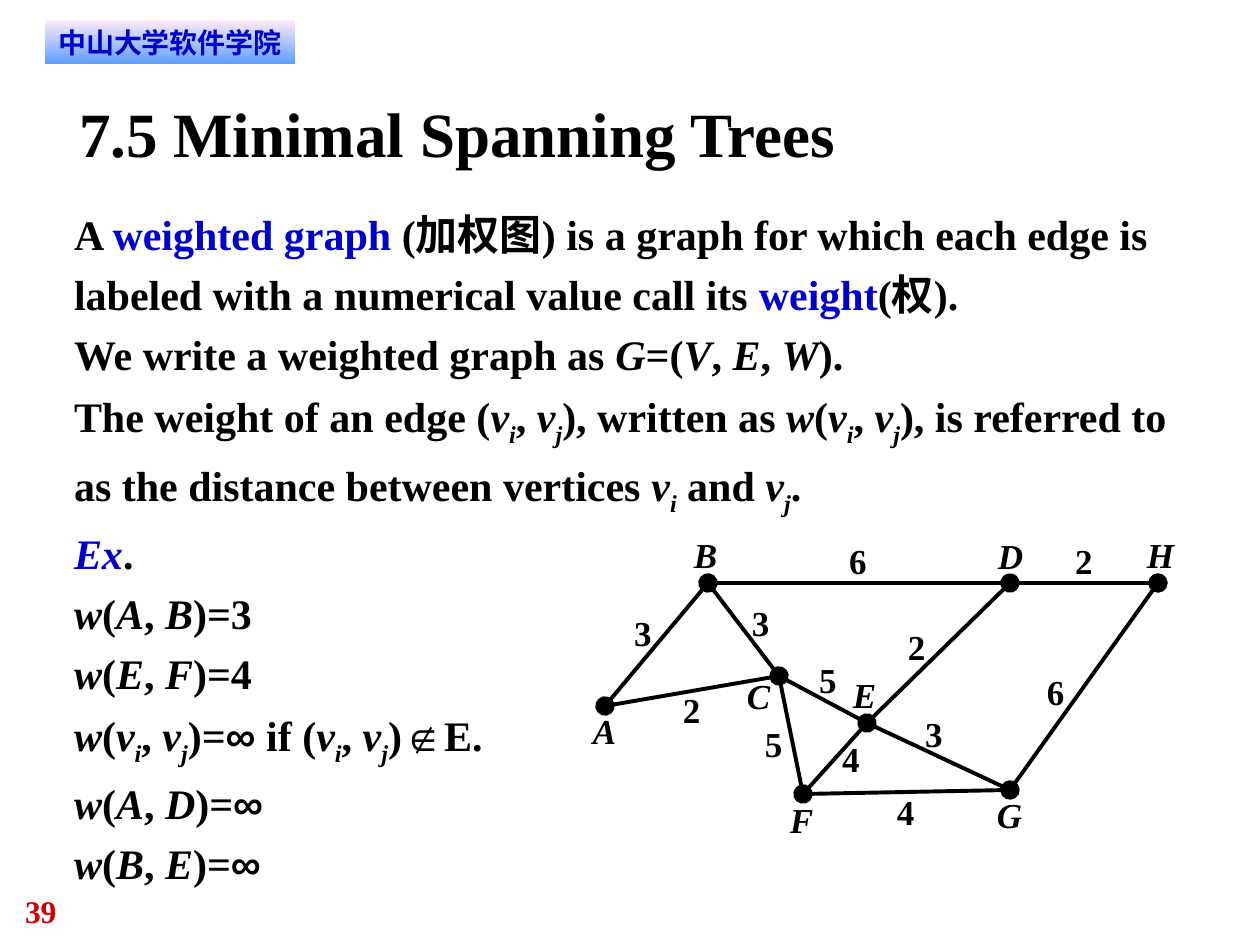
from lxml.etree import SubElement
from pptx import Presentation
from pptx.dml.color import RGBColor
from pptx.enum.shapes import MSO_CONNECTOR as Connector, MSO_SHAPE as Shape
from pptx.enum.text import PP_ALIGN as Align
from pptx.oxml.ns import qn
from pptx.util import Emu, Pt

PX = 914400 / 126
SERIF, SANS, SYMBOL = "Times New Roman", "DejaVu Sans", "Arial"
BLACK, BLUE, RED = "000000", "0000CC", "CC0000"

# Markup: * italic, _ subscript, ^ blue, ~ symbol font
BODY = [
    "A ^weighted graph^ (加权图) is a graph for which each edge is labeled "
    "with a numerical value call its ^weight^(权).",
    "We write a weighted graph as *G*=(*V*, *E*, *W*).",
    "The weight of an edge (*v_i_*, *v_j_*), written as *w*(*v_i_*, *v_j_*), "
    "is referred to as the distance between vertices *v_i_* and *v_j_*.",
    "^*Ex*^.",
    "*w*(*A*, *B*)=3",
    "*w*(*E*, *F*)=4",
    "*w*(*v_i_*, *v_j_*)=~∞~ if (*v_i_*, *v_j_*)~∉~E.",
    "*w*(*A*, *D*)=~∞~",
    "*w*(*B*, *E*)=~∞~",
]

# Vertex: point, label corner
VERTICES = {
    "A": ((15, 176), (3, 179)),
    "B": ((118, 53), (104, 3)),
    "C": ((189, 146), (157, 144)),
    "D": ((420, 53), (408, 4)),
    "E": ((277, 193), (263, 143)),
    "F": ((213, 264), (200, 268)),
    "G": ((420, 260), (407, 263)),
    "H": ((568, 53), (557, 3)),
}
# Edge: ends, weight, weight corner, ends that carry the vertex dot
EDGES = [
    ("HG", "6", (457, 140), ""),
    ("DE", "2", (318, 95), "DE"),
    ("BA", "3", (44, 81), "B"),
    ("AC", "2", (93, 158), "AC"),
    ("CE", "5", (229, 128), ""),
    ("CF", "5", (175, 192), ""),
    ("BC", "3", (162, 71), ""),
    ("FG", "4", (307, 260), ""),
    ("EF", "4", (252, 207), "F"),
    ("EG", "3", (335, 182), "G"),
    ("BD", "6", (259, 9), ""),
    ("DH", "2", (485, 9), "H"),
]


def px(*lengths):
    return [Emu(round(length * PX)) for length in lengths]


def color(hex_text):
    return RGBColor.from_string(hex_text)


def set_all(target, values):
    for name, value in values.items():
        setattr(target, name, value)


def add_span(para, text, size, fill=BLACK, name=SERIF, italic=False):
    span = para.add_run()
    span.text = text
    set_all(span.font, {"size": Pt(size), "name": name, "bold": True, "italic": italic})
    span.font.color.rgb = color(fill)
    return span


def add_box(shapes, box, wrap=True):
    frame = shapes.add_textbox(*px(*box)).text_frame
    set_all(frame, {"margin_left": 0, "margin_top": 0, "margin_right": 0,
                    "margin_bottom": 0, "word_wrap": wrap})
    return frame


def add_line_of_text(shapes, box, text, size, wrap=True, **style):
    para = add_box(shapes, box, wrap).paragraphs[0]
    add_span(para, text, size, **style)


def add_banner(page, box):
    banner = page.shapes.add_shape(Shape.RECTANGLE, *px(*box))
    banner.shadow.inherit = False
    banner.line.fill.background()
    banner.fill.gradient()
    banner.fill.gradient_angle = 270
    for stop, (place, tint) in zip(banner.fill.gradient_stops, [(0, "FFEBFA"), (1, "5E9EFF")]):
        stop.position = place
        stop.color.rgb = color(tint)
    side, edge = px(10, 5)
    set_all(banner.text_frame, {"margin_left": side, "margin_right": side,
                                "margin_top": edge, "margin_bottom": edge})
    para = banner.text_frame.paragraphs[0]
    para.alignment = Align.CENTER
    add_span(para, "中山大学软件学院", 16, BLUE, SANS)


def add_marked_text(para, text, size):
    """Split the text at its marks; each mark switches one style on or off."""
    active, piece = set(), ""
    for letter in text + "*":
        if letter not in "*_^~":
            piece += letter
            continue
        if piece:
            span = add_span(para, piece, size, BLUE if "^" in active else BLACK,
                            SYMBOL if "~" in active else SERIF, "*" in active)
            if "_" in active:
                span.font._element.set("baseline", "-25000")
        active ^= {letter}
        piece = ""


def add_body(page, box):
    frame = add_box(page.shapes, box)
    for index, text in enumerate(BODY):
        para = frame.add_paragraph() if index else frame.paragraphs[0]
        para.line_spacing = 1.2
        add_marked_text(para, text, 24)


def add_edge(shapes, start, end, dots):
    edge = shapes.add_connector(Connector.STRAIGHT, *px(*start, *end))
    edge.line.width = Pt(2.25)
    edge.line.color.rgb = color(BLACK)
    line = edge.line._get_or_add_ln()
    for tag, dotted in zip(("a:headEnd", "a:tailEnd"), dots):
        if dotted:
            SubElement(line, qn(tag), type="oval", w="lg", len="lg")
    SubElement(edge._element.spPr, qn("a:effectLst"))


def add_graph(page, left, top):
    shapes = page.shapes.add_group_shape().shapes

    def place(point):
        return left + point[0], top + point[1]

    # Edges and their weights
    for ends, weight, corner, dotted in EDGES:
        start, end = [place(VERTICES[name][0]) for name in ends]
        add_edge(shapes, start, end, [name in dotted for name in ends])
        add_line_of_text(shapes, (*place(corner), 18, 42), weight, 20, wrap=False)
    # Vertex names
    for name, (_, corner) in VERTICES.items():
        add_line_of_text(shapes, (*place(corner), 24, 42), name, 20, wrap=False, italic=True)


def main():
    deck = Presentation()
    deck.slide_width, deck.slide_height = px(1260, 945)
    page = deck.slides.add_slide(deck.slide_layouts[6])
    add_line_of_text(page.shapes, (25, 892, 95, 38), "39", 18, fill=RED)
    add_banner(page, (45, 20, 250, 44))
    add_line_of_text(page.shapes, (79, 95, 1103, 76), "7.5 Minimal Spanning Trees", 36)
    add_body(page, (74, 198, 1126, 690))
    add_graph(page, 590, 530)
    deck.save("out.pptx")


if __name__ == "__main__":
    main()
